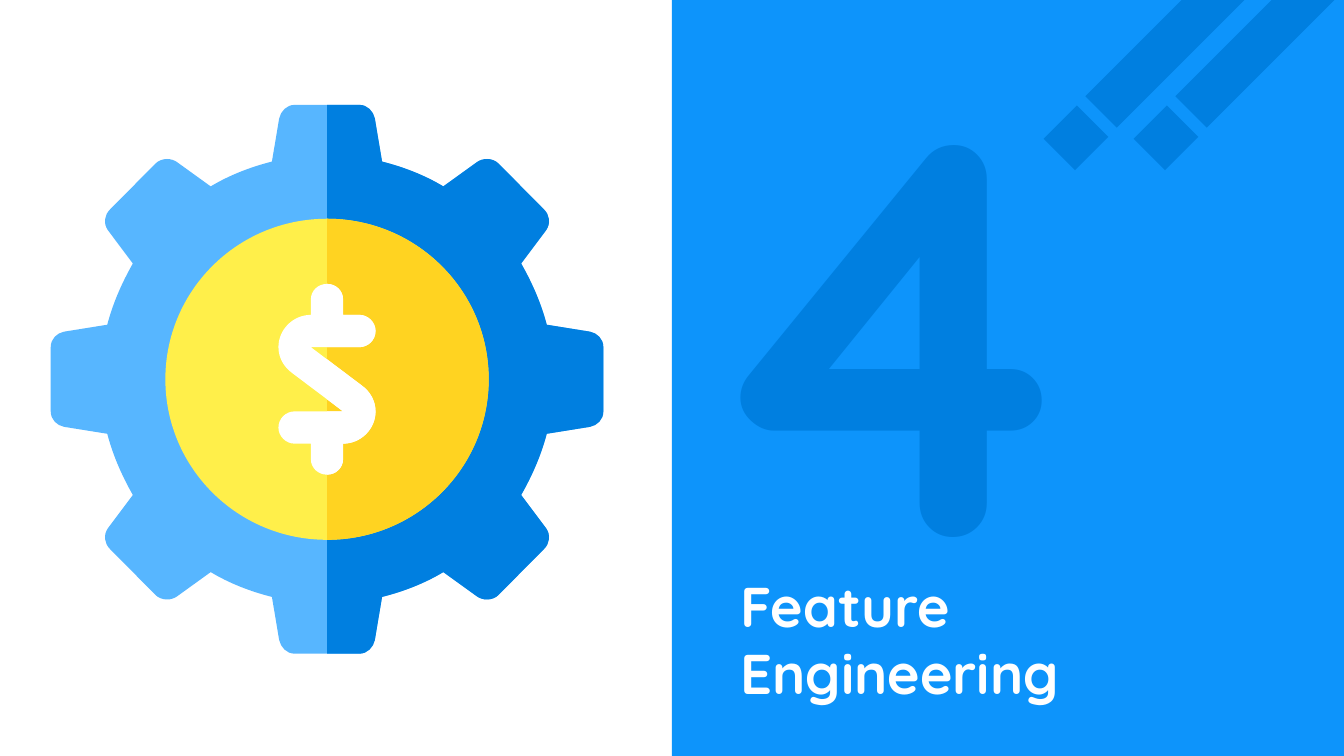
from lxml import etree
from pptx import Presentation
from pptx.dml.color import RGBColor
from pptx.enum.shapes import MSO_SHAPE
from pptx.enum.text import MSO_ANCHOR, MSO_AUTO_SIZE, PP_ALIGN
from pptx.oxml.ns import qn
from pptx.util import Pt

RECTANGLE = MSO_SHAPE.RECTANGLE
TOP, MIDDLE = MSO_ANCHOR.TOP, MSO_ANCHOR.MIDDLE
LEFT, RIGHT = PP_ALIGN.LEFT, PP_ALIGN.RIGHT
NO_AUTOFIT = MSO_AUTO_SIZE.NONE

THEME = {
    "font": "Quicksand",
    "number_size": 300,
    "heading_size": 30,
    "white": "FFFFFF",
    "panel": "0D94FB",
    "blue": "007FE0",
    "light_blue": "57B6FF",
    "yellow": "FFEF4A",
    "gold": "FFD321",
}
SLIDE_SIZE = (720, 405)
NUMBER = "4"
HEADING = "Feature Engineering"
NUMBER_BOX = (338.4, 36.7, 251.3, 262.1)
HEADING_BOX = (389.5, 298.8, 261.4, 84.2)

STRIPE_PARTS = [(563.8, 61.9, 25.2, 23.8), (558, -28.8, 217.4, 23.8)]
STRIPE_OFFSETS = (0, 48.2)
STRIPE_ANGLE = 135

# Segments hold one point for a line or three points for a curve, y upwards.
GEAR_CENTRE = (175.2, 203.2)
GEAR_QUARTER = [
    [(0, 147)], [(17.3, 147)],
    [(21.6, 147), (24.8, 143.6), (25.6, 139.7)],
    [(29.5, 116.6)],
    [(40.7, 113.8), (52.2, 109.4), (62.3, 103.3)],
    [(80.3, 116.3)],
    [(81.7, 117.4), (83.9, 118), (85.7, 118)],
    [(88.2, 118), (90.4, 117), (91.8, 115.6)],
    [(116.3, 90.9)],
    [(119.2, 88), (119.9, 83.5), (117.4, 79.9)],
    [(104, 62)],
    [(110.2, 51.1), (114.8, 40.3), (117.7, 29.2)],
    [(140.8, 25.5)],
    [(144.7, 24.8), (148, 21.6), (148, 17.3)],
]
COIN_QUARTER = [[(0, 86)], [(47.9, 86), (86.6, 47.5), (86.6, 0)]]
DOLLAR_HALF = [
    [(0, 51.1)],
    [(-4.7, 51.1), (-8.6, 47.5), (-8.6, 42.8)],
    [(-8.6, 34.5)],
    [(-18.2, 34.5), (-26, 26.6), (-26, 17.3)],
    [(-26, 11.5), (-23, 6.5), (-18.7, 3.4)],
    [(0, -10.7)], [(8.6, -17.2)], [(-17.3, -17.2)],
    [(-21.9, -17.2), (-26, -20.9), (-26, -25.9)],
    [(-26, -30.6), (-21.9, -34.5), (-17.3, -34.5)],
    [(-8.6, -34.5)], [(-8.6, -42.8)],
    [(-8.6, -47.5), (-4.7, -51.1), (0, -51.1)],
]
DOLLAR_LOWER_EDGE = [[(0, 10.7)], [(0, -10.7)], [(8.6, -17.2)], [(0, -17.2)]]
DOLLAR_UPPER_EDGE = [[(0, 51.1)], [(0, 17.2)]]


def colour(name):
    return RGBColor.from_string(THEME[name])


def paint(shape, name):
    shape.shadow.inherit = False
    shape.fill.solid()
    shape.fill.fore_color.rgb = colour(name)
    shape.line.fill.background()


def place(shape, box):
    for name, value in zip(("left", "top", "width", "height"), box):
        setattr(shape, name, Pt(value))


def add_rectangle(slide, box, name, rotation=0):
    shape = slide.shapes.add_shape(RECTANGLE, *map(Pt, box))
    shape.rotation = rotation
    paint(shape, name)


def flip(segments, x_sign, y_sign):
    return [[(x * x_sign, y * y_sign) for x, y in segment] for segment in segments]


def half_turn(segments):
    return flip(segments, -1, -1)


def right_half(quarter):
    lower = flip(quarter, 1, -1)
    join = [lower[-1][-1:]] if lower[-1][-1] != quarter[-1][-1] else []
    backwards = [
        segment[-2::-1] + before[-1:]
        for before, segment in zip(lower[-2::-1], lower[:0:-1])
    ]
    return quarter + join + backwards


def whole(half):
    return half + half_turn(half[1:])


def add_outline(slide, segments, name):
    centre_x, centre_y = GEAR_CENTRE
    placed = [
        [(Pt(centre_x + x), Pt(centre_y - y)) for x, y in segment] for segment in segments
    ]
    ends = [segment[-1] for segment in placed]
    builder = slide.shapes.build_freeform(*ends[0], scale=1)
    builder.add_line_segments(ends[1:], close=True)
    shape = builder.convert_to_shape()
    lines = list(shape._element.iter(qn("a:lnTo")))
    for line, segment in zip(lines, placed[1:]):
        if len(segment) == 3:
            curve = etree.Element(qn("a:cubicBezTo"))
            for x, y in segment:
                etree.SubElement(
                    curve, qn("a:pt"), x=str(x - shape.left), y=str(y - shape.top)
                )
            line.getparent().replace(line, curve)
    paint(shape, name)


def write(shape, text, box, size, name, alignment, anchor):
    place(shape, box)
    frame = shape.text_frame
    frame_format = {
        "word_wrap": True, "auto_size": NO_AUTOFIT, "vertical_anchor": anchor,
        **{f"margin_{side}": Pt(7.2) for side in ("left", "top", "right", "bottom")},
    }
    for key, value in frame_format.items():
        setattr(frame, key, value)
    frame.text = text
    paragraph = frame.paragraphs[0]
    paragraph.alignment = alignment
    font = paragraph.runs[0].font
    for key, value in {"name": THEME["font"], "size": Pt(THEME[size]), "bold": True}.items():
        setattr(font, key, value)
    font.color.rgb = colour(name)


def main():
    presentation = Presentation()
    width, height = SLIDE_SIZE
    presentation.slide_width, presentation.slide_height = Pt(width), Pt(height)
    slide = presentation.slides.add_slide(presentation.slide_layouts[5])
    slide.background.fill.solid()
    slide.background.fill.fore_color.rgb = colour("white")

    add_rectangle(slide, (width / 2, 0, width / 2, height), "panel")
    for offset in STRIPE_OFFSETS:
        for left, *rest in STRIPE_PARTS:
            add_rectangle(slide, (left + offset, *rest), "blue", STRIPE_ANGLE)

    title = slide.shapes.title
    slide.shapes._spTree.append(title._element)
    write(title, NUMBER, NUMBER_BOX, "number_size", "blue", RIGHT, MIDDLE)
    heading = slide.shapes.add_textbox(*map(Pt, HEADING_BOX))
    write(heading, HEADING, HEADING_BOX, "heading_size", "white", LEFT, TOP)

    for quarter, left_colour, right_colour in (
        (GEAR_QUARTER, "light_blue", "blue"),
        (COIN_QUARTER, "yellow", "gold"),
    ):
        half = right_half(quarter)
        add_outline(slide, whole(half), left_colour)
        add_outline(slide, half, right_colour)

    for segments in (
        whole(DOLLAR_HALF),
        DOLLAR_LOWER_EDGE + half_turn(DOLLAR_HALF[:6]),
        DOLLAR_UPPER_EDGE + half_turn(DOLLAR_HALF[7:]),
    ):
        add_outline(slide, segments, "white")

    presentation.save("out.pptx")


if __name__ == "__main__":
    main()
